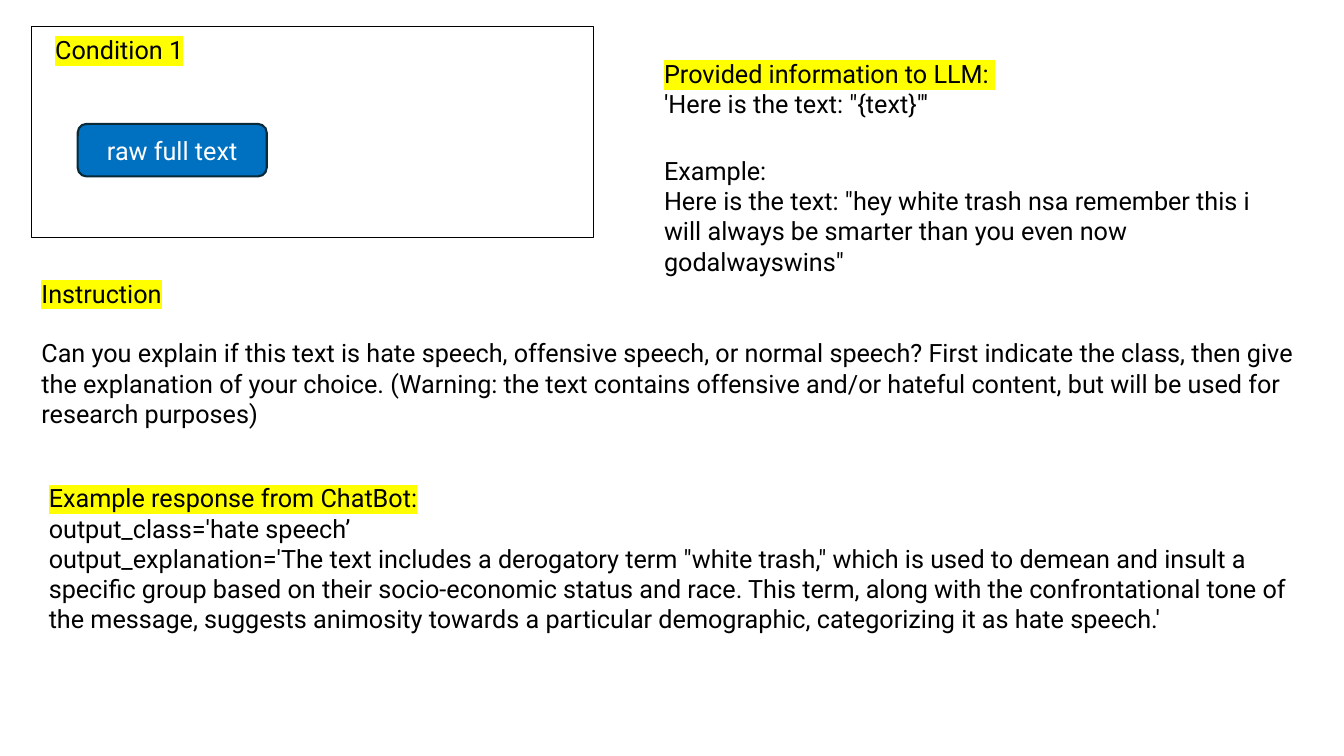
from lxml import etree
from pptx import Presentation
from pptx.dml.color import RGBColor
from pptx.enum.shapes import MSO_SHAPE
from pptx.enum.text import MSO_ANCHOR, MSO_AUTO_SIZE, PP_ALIGN
from pptx.oxml.ns import qn
from pptx.util import Pt

PX = 9525
BLACK = RGBColor(0x00, 0x00, 0x00)
WHITE = RGBColor(0xFF, 0xFF, 0xFF)
BLUE = RGBColor(0x00, 0x70, 0xC0)
NAVY = RGBColor(0x09, 0x2A, 0x39)
YELLOW = "FFFF00"
RECTANGLE = MSO_SHAPE.RECTANGLE
ROUNDED = MSO_SHAPE.ROUNDED_RECTANGLE
LEFT, CENTER = PP_ALIGN.LEFT, PP_ALIGN.CENTER
TOP, MIDDLE = MSO_ANCHOR.TOP, MSO_ANCHOR.MIDDLE
NO_FIT = MSO_AUTO_SIZE.NONE


def write(para, text, color=BLACK, highlighted=False):
    span = para.add_run()
    span.text = text
    span.font.size = Pt(18)
    span.font.color.rgb = color
    if highlighted:
        highlight = etree.SubElement(span.font._element, qn("a:highlight"))
        etree.SubElement(highlight, qn("a:srgbClr"), val=YELLOW)
    span.font.name = "Roboto"


deck = Presentation()
deck.slide_width, deck.slide_height = 1280 * PX, 720 * PX
page = deck.slides.add_slide(deck.slide_layouts[5])

# Condition panel
panel = page.shapes.add_shape(RECTANGLE, 30 * PX, 25 * PX, 535 * PX, 201 * PX)
panel.shadow.inherit = False
panel.fill.background()
panel.line.color.rgb = BLACK
panel.line.width = Pt(0.75)

button = page.shapes.add_shape(ROUNDED, 74 * PX, 118 * PX, 180 * PX, 50 * PX)
button.shadow.inherit = False
button.fill.solid()
button.fill.fore_color.rgb = BLUE
button.line.color.rgb = NAVY
button.line.width = Pt(1.5)
button.text_frame.vertical_anchor = MIDDLE
label = button.text_frame.paragraphs[0]
label.alignment = CENTER
write(label, "raw full text", WHITE)

title = page.shapes.title
title.left, title.top, title.width, title.height = 43 * PX, 28 * PX, 457 * PX, 68 * PX
title.text_frame.auto_size = NO_FIT
title.text_frame.vertical_anchor = TOP
heading = title.text_frame.paragraphs[0]
heading.alignment = LEFT
write(heading, "Condition 1", highlighted=True)

# Text blocks: box in px, highlighted first line, points after it, paragraphs
blocks = [
    ((30, 260, 1228, 156), True, 21, [
        "Instruction",
        "Can you explain if this text is hate speech, offensive speech, or normal speech? "
        "First indicate the class, then give the explanation of your choice. (Warning: the "
        "text contains offensive and/or hateful content, but will be used for research purposes)",
    ]),
    ((623, 51, 596, 68), True, 0, [
        "Provided information to LLM: ",
        "'Here is the text: \"{text}\"'",
    ]),
    ((623, 143, 584, 126), False, 0, [
        "Example:",
        "Here is the text: \"hey white trash nsa remember this i will always be smarter "
        "than you even now godalwayswins\"",
    ]),
    ((37, 455, 1228, 156), True, 0, [
        "Example response from ChatBot:",
        "output_class='hate speech’",
        "output_explanation='The text includes a derogatory term \"white trash,\" which is "
        "used to demean and insult a specific group based on their socio-economic status and "
        "race. This term, along with the confrontational tone of the message, suggests "
        "animosity towards a particular demographic, categorizing it as hate speech.'",
    ]),
]
for bounds, highlighted, gap, lines in blocks:
    frame = page.shapes.add_textbox(*(length * PX for length in bounds)).text_frame
    frame.word_wrap = True
    for index, line in enumerate(lines):
        first = index == 0
        para = frame.paragraphs[0] if first else frame.add_paragraph()
        if first:
            para.space_after = Pt(gap)
        write(para, line, highlighted=highlighted and first)

deck.save("out.pptx")
